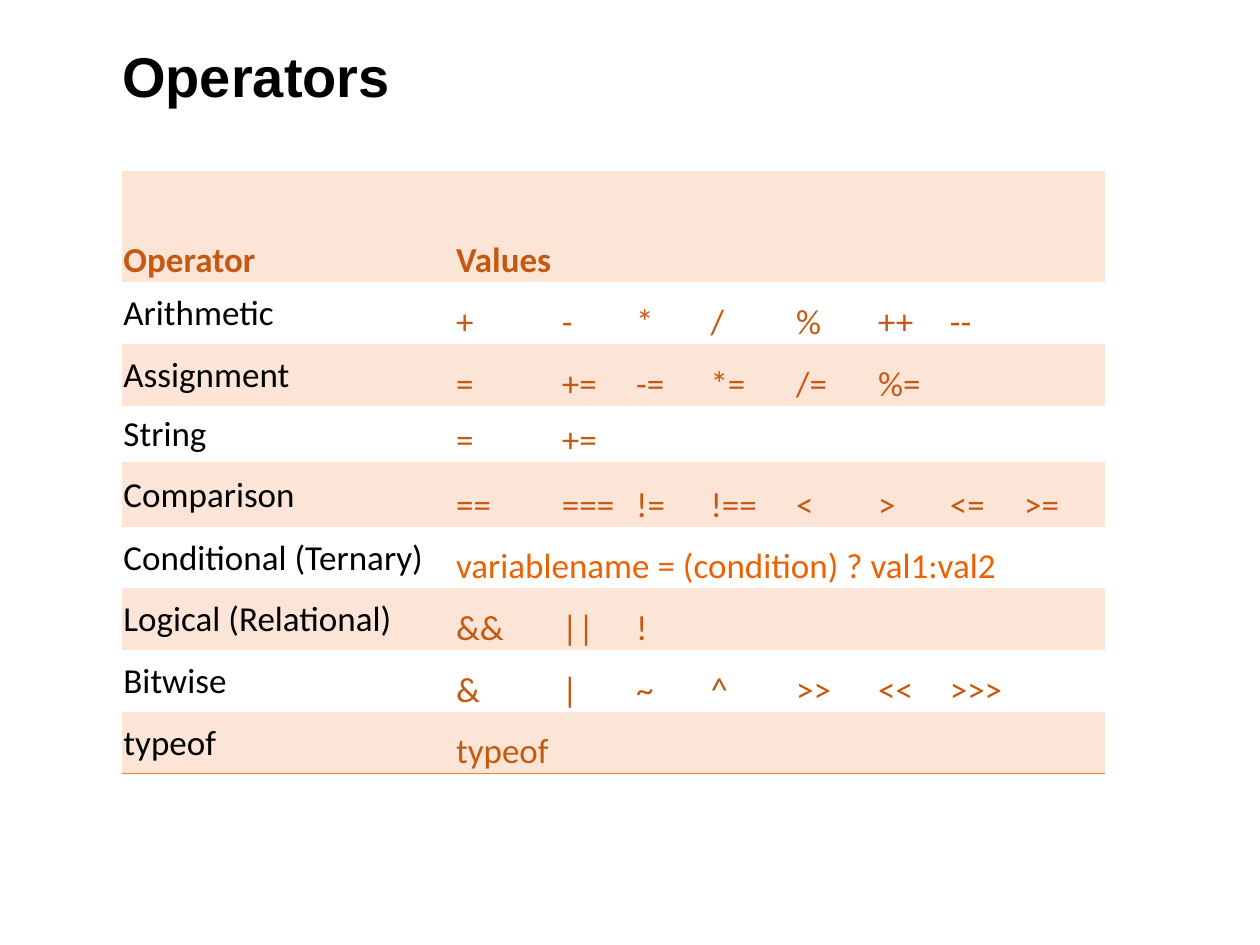
from lxml import etree
from pptx import Presentation
from pptx.dml.color import RGBColor
from pptx.enum.text import MSO_ANCHOR, PP_ALIGN
from pptx.oxml.ns import qn
from pptx.util import Inches, Pt

BLACK = RGBColor(0x00, 0x00, 0x00)
PEACH = RGBColor(0xFC, 0xE4, 0xD6)
RUST = RGBColor(0xC6, 0x59, 0x11)
BRIGHT_ORANGE = RGBColor(0xEE, 0x60, 0x00)
RULE_ORANGE = RGBColor(0xED, 0x7D, 0x31)
PLAIN_STYLE = "{2D5ABB26-0587-4C30-8999-92F81FD0307C}"

COLUMN_WIDTHS = [2.64, 0.84, 0.59, 0.59, 0.68, 0.65, 0.57, 0.59, 0.65]
ROW_HEIGHTS = [0.88, 0.49, 0.49, 0.45, 0.51, 0.49, 0.49, 0.49, 0.49]
OPERATORS = [
    ("Operator", ["Values"]),
    ("Arithmetic", ["+", "-", "*", "/", "%", "++", "--"]),
    ("Assignment", ["=", "+=", "-=", "*=", "/=", "%="]),
    ("String", ["=", "+="]),
    ("Comparison", ["==", "===", "!=", "!==", "<", ">", "<=", ">="]),
    ("Conditional (Ternary)", ["variablename = (condition) ? val1:val2"]),
    ("Logical (Relational)", ["&&", "||", "!"]),
    ("Bitwise", ["&", "|", "~", "^", ">>", "<<", ">>>"]),
    ("typeof", ["typeof"]),
]
TERNARY_ROW = 5
TYPEOF_ROW = 8


def format_text(text_frame, font_name, size, color, bold):
    paragraph = text_frame.paragraphs[0]
    paragraph.alignment = PP_ALIGN.LEFT
    for font in [paragraph.font] + [run.font for run in paragraph.runs]:
        font.name = font_name
        font.size = Pt(size)
        font.bold = bold
        font.color.rgb = color


def add_heading(slide, left, top, width, height):
    heading = slide.shapes.title
    heading.left, heading.top = left, top
    heading.width, heading.height = width, height
    frame = heading.text_frame
    frame.text = "Operators"
    frame.word_wrap = True
    frame.vertical_anchor = MSO_ANCHOR.TOP
    frame.margin_left = frame.margin_right = 0
    frame.margin_top = frame.margin_bottom = 0
    format_text(frame, "Arial", 32, BLACK, True)


def add_bottom_rule(cell):
    rule = etree.Element(qn("a:lnB"), w=str(Pt(0.5)))
    fill = etree.SubElement(rule, qn("a:solidFill"))
    etree.SubElement(fill, qn("a:srgbClr"), val=str(RULE_ORANGE))
    cell._tc.get_or_add_tcPr().insert(0, rule)


def fill_cell(cell, text, row, column):
    is_header = row == 0
    is_label = column == 0 and not is_header
    cell.margin_left = cell.margin_right = cell.margin_top = Inches(0.01)
    cell.margin_bottom = 0
    cell.vertical_anchor = MSO_ANCHOR.MIDDLE if is_label else MSO_ANCHOR.BOTTOM
    # Every other row is shaded, starting with the header
    if row % 2 == 0:
        cell.fill.solid()
        cell.fill.fore_color.rgb = PEACH
    else:
        cell.fill.background()
    cell.text_frame.text = text
    if is_label:
        color = BLACK
    else:
        color = BRIGHT_ORANGE if row == TERNARY_ROW else RUST
    format_text(cell.text_frame, "Calibri", 20, color, is_header)
    if row == TYPEOF_ROW:
        add_bottom_rule(cell)


def add_operator_table(slide, left, top, width, height):
    frame = slide.shapes.add_table(
        len(ROW_HEIGHTS), len(COLUMN_WIDTHS), left, top, width, height)
    table = frame.table
    table.first_row = table.horz_banding = False
    next(frame.element.iter(qn("a:tableStyleId"))).text = PLAIN_STYLE
    for column, column_width in zip(table.columns, COLUMN_WIDTHS):
        column.width = Inches(column_width)
    for row, row_height in zip(table.rows, ROW_HEIGHTS):
        row.height = Inches(row_height)

    # Label in the first column, one symbol in each column after it
    for row, (label, symbols) in enumerate(OPERATORS):
        texts = [label] + symbols
        texts += [""] * (len(COLUMN_WIDTHS) - len(texts))
        for column, text in enumerate(texts):
            fill_cell(table.cell(row, column), text, row, column)

    # Values that run across several columns
    for row, last_column in ((TERNARY_ROW, 8), (TYPEOF_ROW, 2)):
        table.cell(row, 1).merge(table.cell(row, last_column))


def main():
    presentation = Presentation()
    presentation.slide_width = Inches(10)
    presentation.slide_height = Inches(7.5)
    slide = presentation.slides.add_slide(presentation.slide_layouts[5])
    add_heading(slide, Inches(0.97), Inches(0.33), Inches(8.29), Inches(1.03))
    add_operator_table(
        slide, Inches(0.97), Inches(1.36), Inches(7.81), Inches(4.75))
    presentation.save("out.pptx")


if __name__ == "__main__":
    main()
